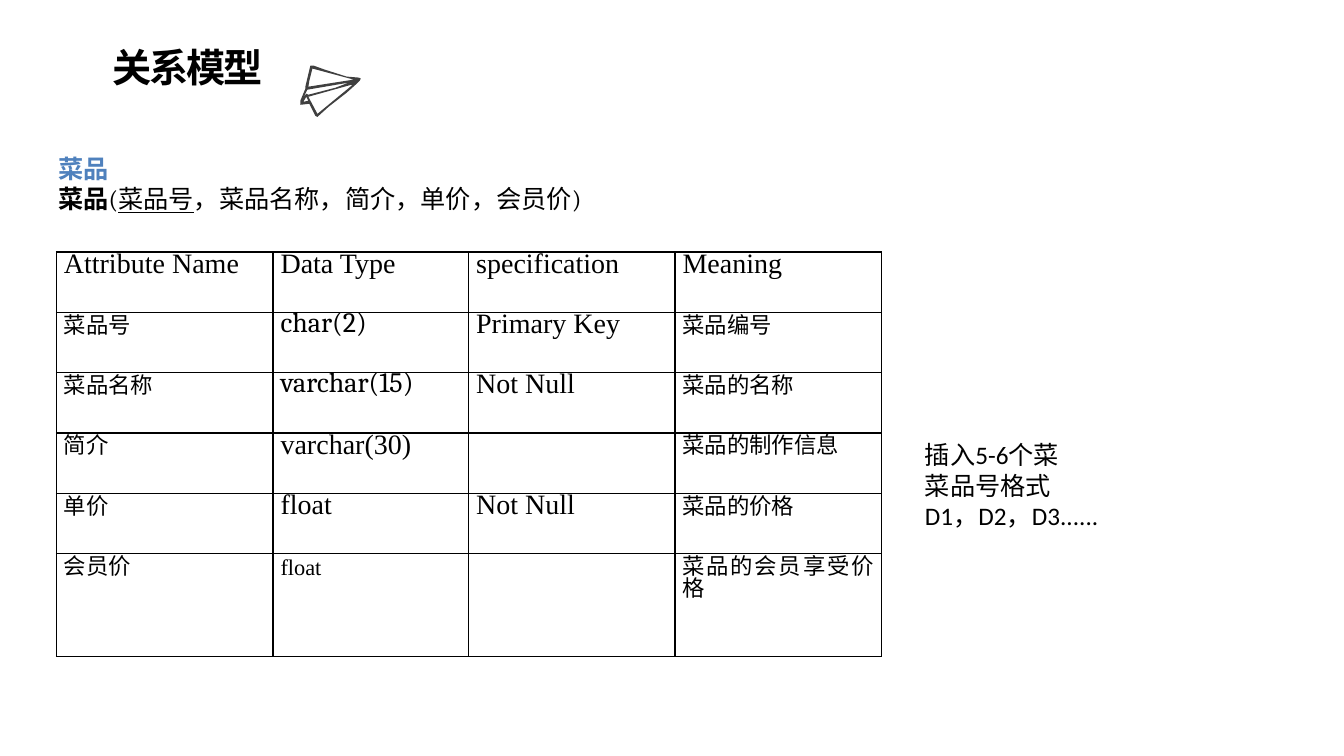
from dataclasses import dataclass

from lxml.etree import SubElement as Sub
from pptx import Presentation
from pptx.dml.color import RGBColor as Rgb
from pptx.enum.text import MSO_ANCHOR as Anchor, PP_ALIGN as Align
from pptx.oxml.ns import qn
from pptx.util import Cm, Pt

COLORS = {"ink": "000000", "blue": "4F81BD", "plane": "404040"}
HAN, ROMAN, SERIF, SANS = "Noto Sans CJK SC", "Times New Roman", "Cambria", "Calibri"


@dataclass
class Run:
    text: str
    bold: bool | None = None
    line: bool | None = None


@dataclass
class Para:
    runs: list[Run]
    size: float
    face: str = HAN
    color: str = "ink"
    bold: bool = False
    align: Align | None = None
    track: int = 0
    space: float = 0


@dataclass
class Box:
    left: float
    top: float
    width: float
    height: float
    paras: list[Para]
    anchor: Anchor = Anchor.TOP
    inset: tuple[float, float] = (0.13, 0.13)


def write(frame, paras: list[Para]) -> None:
    for i, item in enumerate(paras):
        para = frame.add_paragraph() if i else frame.paragraphs[0]
        if item.align is not None:
            para.alignment = item.align
        if item.space:
            para.line_spacing = Pt(item.space)
        font = para.font
        font.name, font.size, font.bold = item.face, Pt(item.size), item.bold
        font.color.rgb = Rgb.from_string(COLORS[item.color])
        props = para._p.pPr.find(qn("a:defRPr"))
        Sub(props, qn("a:ea")).set("typeface", HAN)
        if item.track:
            props.set("spc", str(item.track))
        for part in item.runs:
            run = para.add_run()
            run.text = part.text
            run.font.bold, run.font.underline = part.bold, part.line


def add_box(slide, box: Box) -> None:
    shape = slide.shapes.add_textbox(
        Cm(box.left), Cm(box.top), Cm(box.width), Cm(box.height))
    frame = shape.text_frame
    frame.word_wrap, frame.vertical_anchor = True, box.anchor
    frame.margin_top, frame.margin_bottom = map(Cm, box.inset)
    write(frame, box.paras)


def add_rules(cell) -> None:
    props = cell._tc.get_or_add_tcPr()
    for i, side in enumerate(("lnL", "lnR", "lnT", "lnB")):
        rule = props.makeelement(qn(f"a:{side}"), {"w": str(Pt(1))})
        fill = Sub(rule, qn("a:solidFill"))
        Sub(fill, qn("a:srgbClr")).set("val", COLORS["ink"])
        props.insert(i, rule)


def cell_para(text: str, row: int, col: int) -> Para:
    """Latin words are large, Chinese words and the last row are small."""
    latin = text.isascii()
    face = ROMAN if latin else HAN
    if col == 1 and row in (1, 2):
        face = SERIF
    size = 20 if latin and row < len(ROWS) - 1 else 16
    return Para([Run(text)], size, face, align=Align.JUSTIFY, space=15.8)


def add_grid(slide) -> None:
    shape = slide.shapes.add_table(
        len(ROWS), len(WIDTHS), Cm(1.42), Cm(6.35), Cm(sum(WIDTHS)), Cm(10.19))
    table = shape.table
    table.first_row = table.horz_banding = False
    for col, width in zip(table.columns, WIDTHS):
        col.width = Cm(width)
    for r, texts in enumerate(ROWS):
        table.rows[r].height = Cm(2.59 if r == len(ROWS) - 1 else 1.52)
        for c, text in enumerate(texts):
            cell = table.cell(r, c)
            cell.fill.background()
            add_rules(cell)
            cell.margin_left = cell.margin_right = Cm(0.19)
            cell.margin_top = cell.margin_bottom = Cm(0.13)
            if text:
                write(cell.text_frame, [cell_para(text, r, c)])


def add_plane(slide) -> None:
    first, *rest = PLANE
    build = slide.shapes.build_freeform(*first[0], scale=Cm(2.54) / 100)
    build.add_line_segments(first[1:])
    for hole in rest:
        build.move_to(*hole[0])
        build.add_line_segments(hole[1:])
    shape = build.convert_to_shape()
    shape.shadow.inherit = False
    shape.fill.solid()
    shape.fill.fore_color.rgb = Rgb.from_string(COLORS["plane"])
    shape.line.fill.background()


# Paper plane: outer edge, then the holes, in hundredths of an inch
PLANE = [
    [(358, 78), (357, 80), (354, 83), (344, 92), (326, 106), (315, 116), (313, 115),
     (307, 103), (298, 104), (298, 100), (303, 88), (303, 86), (308, 65), (311, 65),
     (322, 69), (344, 76), (356, 77)],
    [(310, 68), (307, 80), (306, 86), (338, 81), (351, 79)],
    [(306, 96), (315, 113), (349, 85), (349, 84)],
    [(305, 89), (301, 97), (304, 93), (306, 94), (333, 87), (346, 82)],
    [(301, 101), (306, 100), (304, 96)],
]

# Attribute table
WIDTHS = [5.46, 4.93, 5.2, 5.2]
ROWS = [
    ["Attribute Name", "Data Type", "specification", "Meaning"],
    ["菜品号", "char(2)", "Primary Key", "菜品编号"],
    ["菜品名称", "varchar(15)", "Not Null", "菜品的名称"],
    ["简介", "varchar(30)", "", "菜品的制作信息"],
    ["单价", "float", "Not Null", "菜品的价格"],
    ["会员价", "float", "", "菜品的会员享受价格"],
]

# Title, relation and note
NOTES = ["插入5-6个菜", "菜品号格式", "D1，D2，D3......"]
BOXES = [
    Box(2.59, 0.97, 4.95, 1.45,
        [Para([Run("关系模型")], 28, bold=True, align=Align.JUSTIFY, track=-150)]),
    Box(1.22, 3.5, 13.84, 1.9, [
        Para([Run("菜品")], 18, color="blue", bold=True),
        Para([Run("菜品", True), Run("("), Run("菜品号", line=True),
              Run("，菜品名称，简介，单价，会员价)")], 18, SERIF),
    ], Anchor.MIDDLE, (0.36, 0)),
    Box(23.06, 10.95, 7.44, 2.57, [Para([Run(note)], 18, SANS) for note in NOTES]),
]


def main() -> None:
    deck = Presentation()
    deck.slide_width, deck.slide_height = Cm(33.87), Cm(19.05)
    slide = deck.slides.add_slide(deck.slide_layouts[6])
    add_plane(slide)
    add_grid(slide)
    for box in BOXES:
        add_box(slide, box)
    deck.save("out.pptx")


if __name__ == "__main__":
    main()
